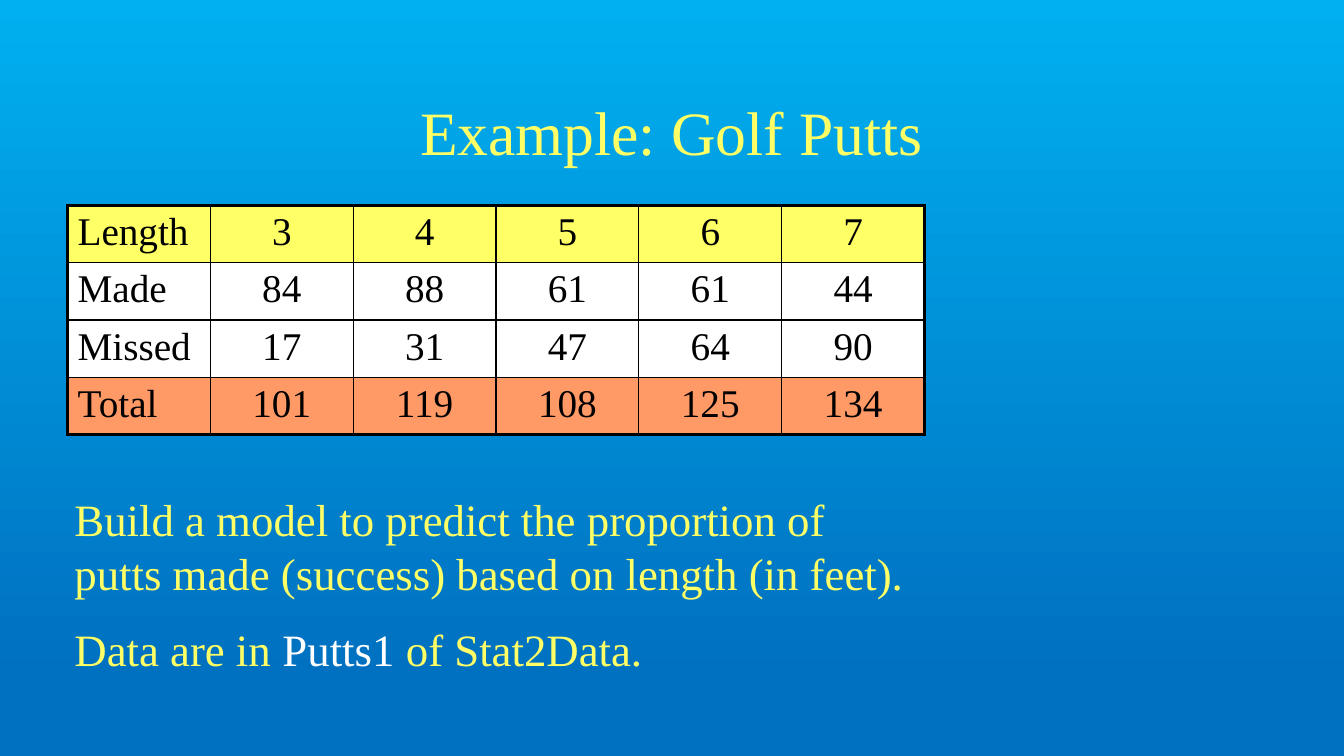
from pptx import Presentation
from pptx.dml.color import RGBColor
from pptx.enum.text import MSO_ANCHOR, PP_ALIGN
from pptx.oxml.ns import qn
from pptx.util import Inches, Pt
from lxml import etree

LEFT, CENTER = PP_ALIGN.LEFT, PP_ALIGN.CENTER
MIDDLE, TOP = MSO_ANCHOR.MIDDLE, MSO_ANCHOR.TOP
FONT = "Times New Roman"
COLORS = {"sky": "00B0F0", "blue": "0070C0", "yellow": "FFFF66",
          "white": "FFFFFF", "orange": "FF9966", "black": "000000"}

# Content
TITLE = "Example: Golf Putts"
PUTTS = [
    ("yellow", ["Length", "3", "4", "5", "6", "7"]),
    ("white", ["Made", "84", "88", "61", "61", "44"]),
    ("white", ["Missed", "17", "31", "47", "64", "90"]),
    ("orange", ["Total", "101", "119", "108", "125", "134"]),
]
TASK = [
    [("Build a model to predict the proportion of putts made (success) "
      "based on length (in feet).", "yellow")],
    [("Data are in ", "yellow"), ("Putts1 ", "white"), ("of Stat2Data.", "yellow")],
]

# Layout in inches
TITLE_BOX = (1, 0.67, 11.33, 1.25)
TABLE_BOX = (0.67, 2.04, 8.5, 2.27)
TASK_BOX = (0.64, 4.83, 8.53, 1.99)
OUTER, INNER = 2.25, 1


def rgb(name):
    return RGBColor.from_string(COLORS[name])


def write(tf, paragraphs, size, align=LEFT, anchor=TOP, before=0):
    tf.word_wrap = True
    tf.vertical_anchor = anchor
    for i, runs in enumerate(paragraphs):
        p = tf.add_paragraph() if i else tf.paragraphs[0]
        p.alignment = align
        p.space_before = Pt(before)
        for text, color in runs:
            r = p.add_run()
            r.text = text
            r.font.name = FONT
            r.font.size = Pt(size)
            r.font.color.rgb = rgb(color)


def add_text(s, box, paragraphs, size, **fmt):
    shape = s.shapes.add_textbox(*map(Inches, box))
    write(shape.text_frame, paragraphs, size, **fmt)


def set_borders(cell, widths):
    tc_pr = cell._tc.get_or_add_tcPr()
    for i, (side, width) in enumerate(widths.items()):
        ln = etree.Element(qn(f"a:ln{side}"), w=str(Pt(width)))
        fill = etree.SubElement(ln, qn("a:solidFill"))
        etree.SubElement(fill, qn("a:srgbClr"), val=COLORS["black"])
        tc_pr.insert(i, ln)


def add_putts_table(s):
    n_rows, n_cols = len(PUTTS), len(PUTTS[0][1])
    frame = s.shapes.add_table(n_rows, n_cols, *map(Inches, TABLE_BOX))
    table = frame.table
    for col in table.columns:
        col.width = Inches(TABLE_BOX[2] / n_cols)
    for row in table.rows:
        row.height = Inches(TABLE_BOX[3] / n_rows)
    for i, (fill, values) in enumerate(PUTTS):
        for j, value in enumerate(values):
            cell = table.cell(i, j)
            cell.fill.solid()
            cell.fill.fore_color.rgb = rgb(fill)
            write(cell.text_frame, [[(value, "black")]], 28,
                  align=CENTER if j else LEFT, before=5.6)
            edges = {"L": j == 0, "R": j == n_cols - 1,
                     "T": i == 0, "B": i == n_rows - 1}
            set_borders(cell, {side: OUTER if edge else INNER
                               for side, edge in edges.items()})


def main():
    prs = Presentation()
    prs.slide_width, prs.slide_height = Inches(13.33), Inches(7.5)
    s = prs.slides.add_slide(prs.slide_layouts[6])

    # Background gradient, top to bottom
    fill = s.background.fill
    fill.gradient()
    fill.gradient_angle = 270
    for stop, color, position in zip(fill.gradient_stops, ("sky", "blue"), (0, 0.9)):
        stop.color.rgb = rgb(color)
        stop.position = position

    # Title, table and task
    add_text(s, TITLE_BOX, [[(TITLE, "yellow")]], 44, align=CENTER, anchor=MIDDLE)
    add_putts_table(s)
    add_text(s, TASK_BOX, TASK, 32, before=16)

    prs.save("out.pptx")


if __name__ == "__main__":
    main()
